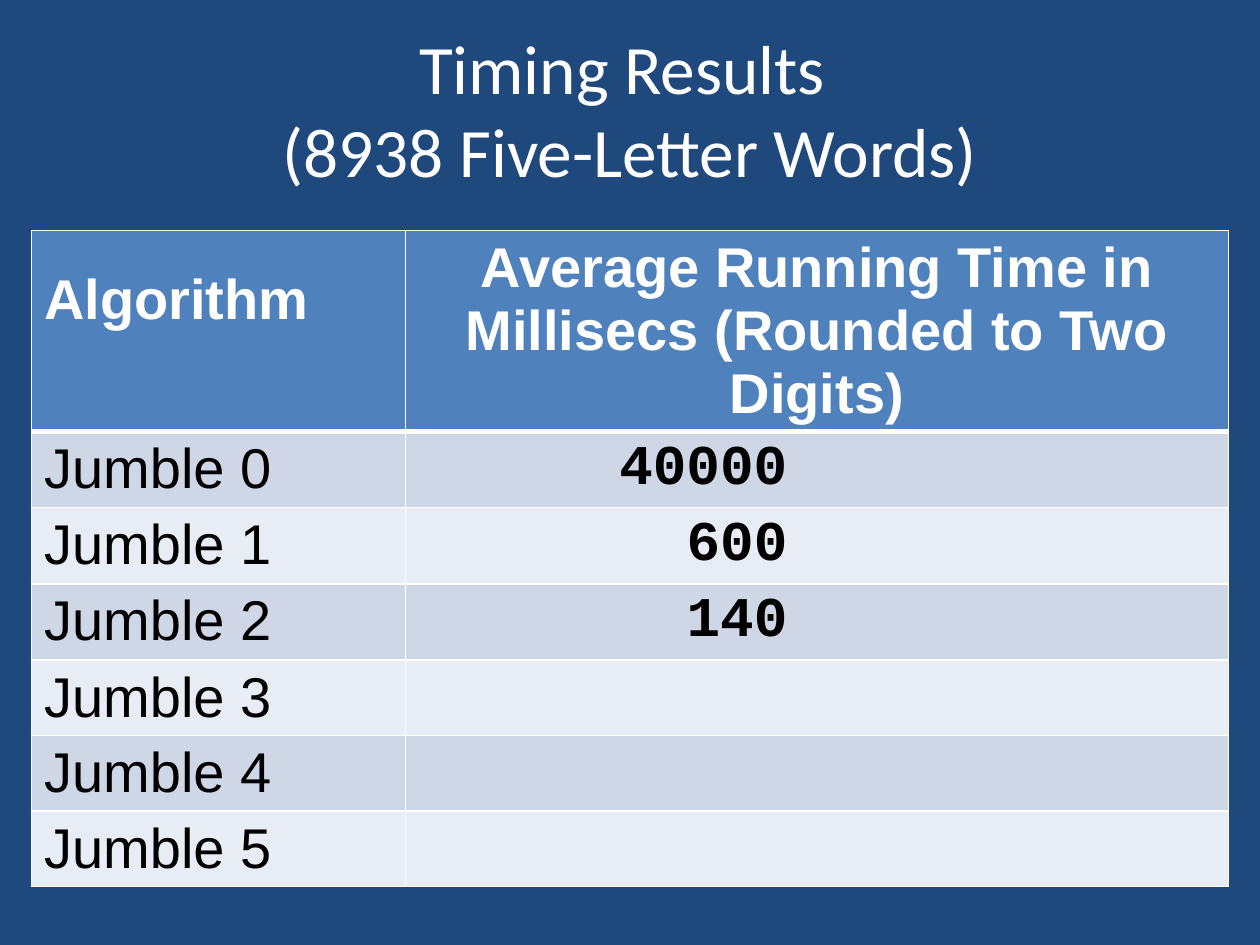
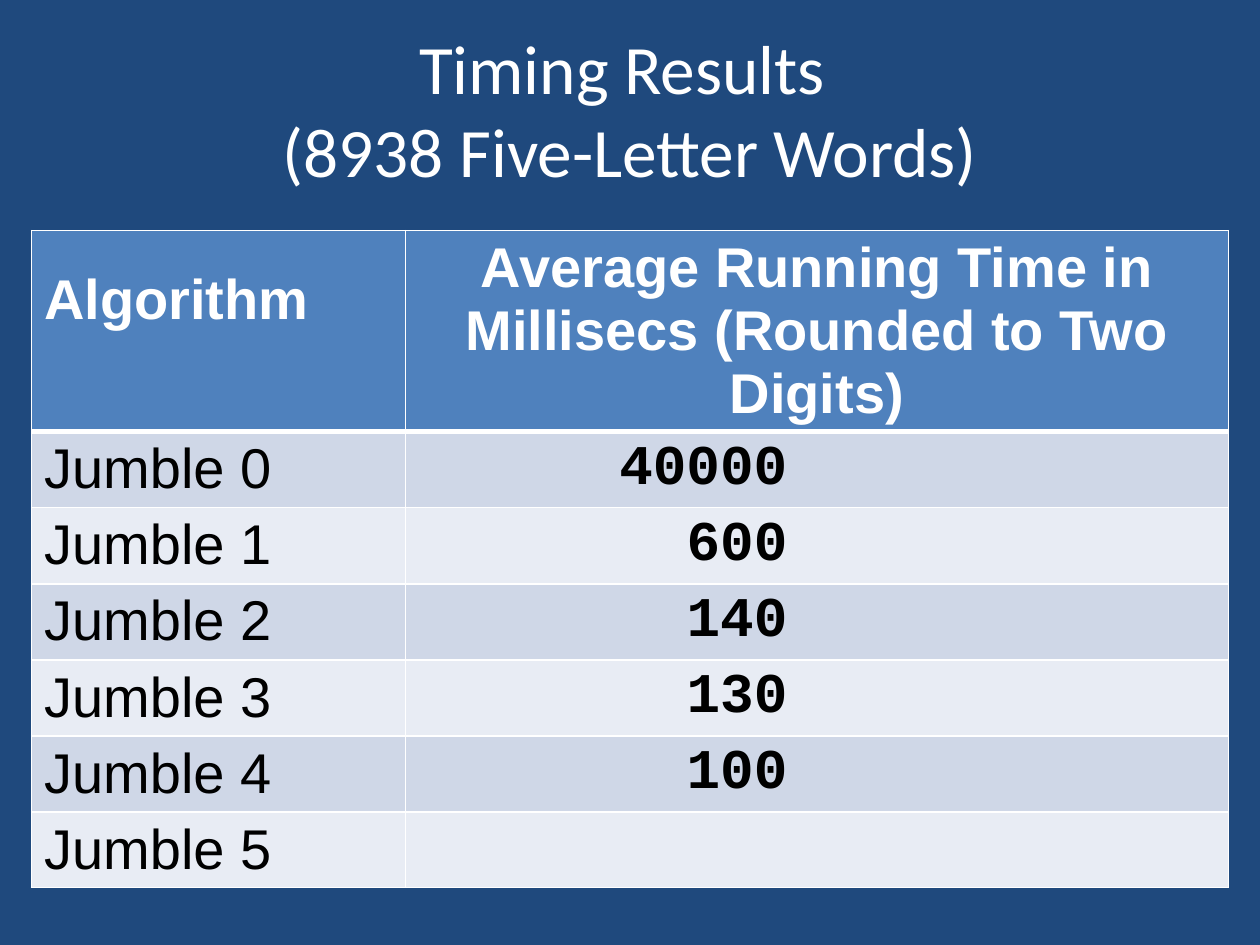
from lxml.etree import SubElement
from pptx import Presentation
from pptx.dml.color import RGBColor
from pptx.enum.text import MSO_ANCHOR, MSO_AUTO_SIZE, PP_ALIGN
from pptx.oxml.ns import qn
from pptx.util import Inches, Pt

NAVY, BLUE, WHITE, BLACK = "1F497D", "4F81BD", "FFFFFF", "000000"
BANDS = ["CFD7E7", "E8ECF4"]
TITLE = ["Timing Results ", "(8938 Five-Letter Words)"]
HEADERS = ["Algorithm", "Average Running Time in Millisecs (Rounded to Two Digits)"]
ALGORITHMS = [f"Jumble {i}" for i in range(6)]
# Times shown on each slide, in the order of the algorithms
TIMES = [["40000", "600", "140"],
         ["40000", "600", "140", "130", "100"]]


def add_run(p, text, font, size, color, bold=False):
    r = p.add_run()
    r.text = text
    r.font.name, r.font.size, r.font.bold = font, Pt(size), bold
    r.font.color.rgb = RGBColor.from_string(color)


def style_cell(cell, fill, top=1, bottom=1):
    tcPr = cell._tc.get_or_add_tcPr()
    for side, width in zip("LRTB", [1, 1, top, bottom]):
        ln = SubElement(tcPr, qn(f"a:ln{side}"), w=str(Pt(width)))
        SubElement(SubElement(ln, qn("a:solidFill")), qn("a:srgbClr"), val=WHITE)
    cell.fill.solid()
    cell.fill.fore_color.rgb = RGBColor.from_string(fill)


prs = Presentation()
prs.slide_width, prs.slide_height = Inches(10), Inches(7.5)
background = prs.slide_master.background.fill
background.solid()
background.fore_color.rgb = RGBColor.from_string(NAVY)

for times in TIMES:
    s = prs.slides.add_slide(prs.slide_layouts[5])

    # Title
    title = s.shapes.title
    title.left, title.top = Inches(0.5), Inches(0.47)
    title.width, title.height = Inches(9), Inches(0.78)
    tf = title.text_frame
    tf.auto_size = MSO_AUTO_SIZE.NONE
    tf.vertical_anchor = MSO_ANCHOR.MIDDLE
    p = tf.paragraphs[0]
    p.alignment = PP_ALIGN.CENTER
    add_run(p, TITLE[0], "Calibri", 39.6, WHITE)
    p.add_line_break()
    add_run(p, TITLE[1], "Calibri", 39.6, WHITE)

    # Table grid
    table = s.shapes.add_table(len(ALGORITHMS) + 1, 2, Inches(0.25), Inches(1.83),
                               Inches(9.5), Inches(5.2)).table
    table.columns[0].width, table.columns[1].width = Inches(2.97), Inches(6.53)
    for row in table.rows:
        row.height = Inches(0.6)
    table.rows[0].height = Inches(1.58)

    # Header row
    for col, header in enumerate(HEADERS):
        cell = table.cell(0, col)
        style_cell(cell, BLUE, bottom=3)
        add_run(cell.text_frame.paragraphs[0], header, "Arial", 32, WHITE, True)
    table.cell(0, 0).margin_top = Inches(0.3)
    table.cell(0, 1).text_frame.paragraphs[0].alignment = PP_ALIGN.CENTER

    # Algorithm rows
    for i, algorithm in enumerate(ALGORITHMS):
        name_cell, time_cell = table.cell(i + 1, 0), table.cell(i + 1, 1)
        for cell in (name_cell, time_cell):
            style_cell(cell, BANDS[i % 2], top=3 if i == 0 else 1)
        add_run(name_cell.text_frame.paragraphs[0], algorithm, "Arial", 32, BLACK)
        if i < len(times):
            time_cell.margin_right = Inches(3.5)
            p = time_cell.text_frame.paragraphs[0]
            p.alignment = PP_ALIGN.RIGHT
            add_run(p, times[i], "Courier New", 32, BLACK, True)

prs.save("out.pptx")
